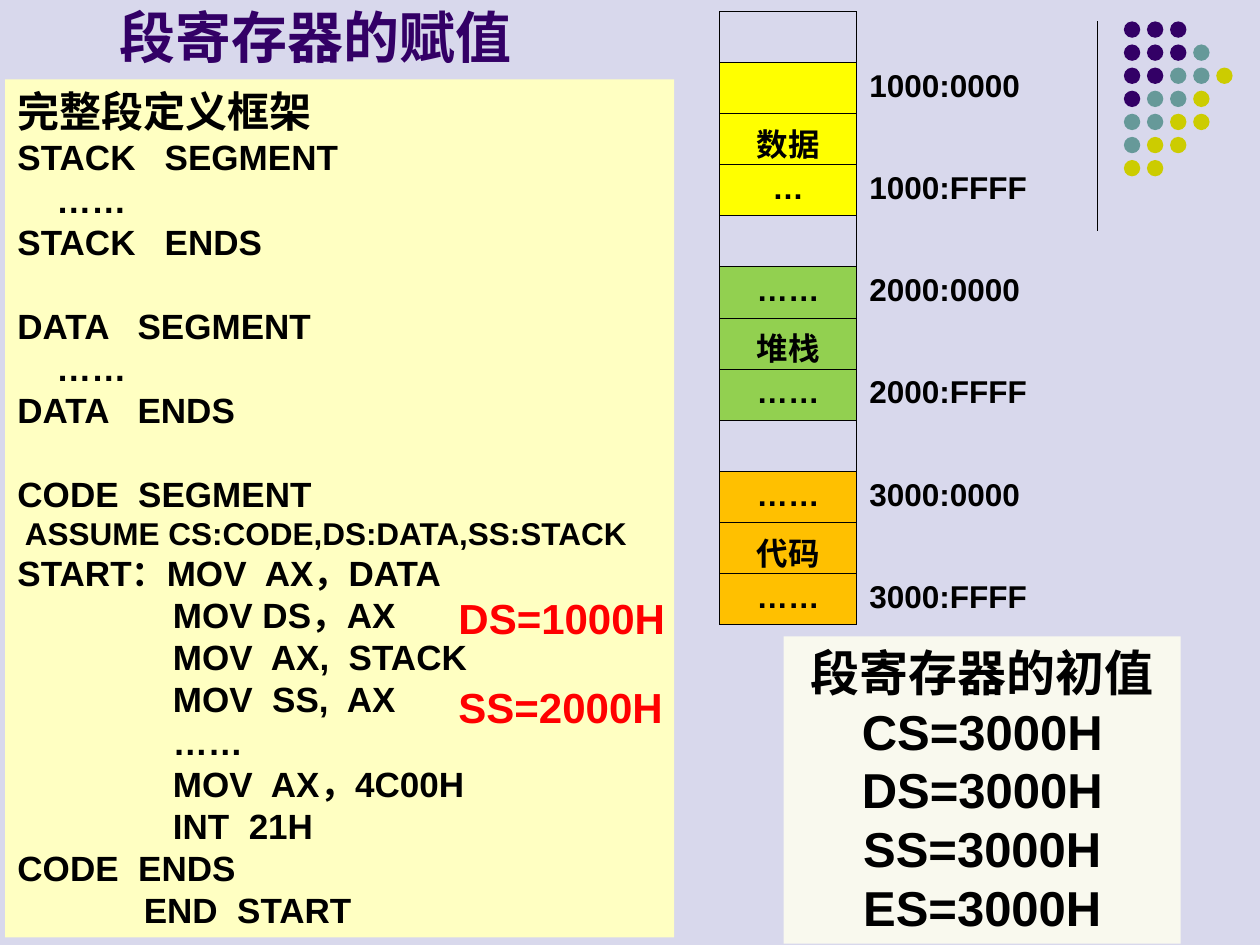
from lxml.etree import SubElement
from pptx import Presentation
from pptx.dml.color import RGBColor
from pptx.enum.shapes import MSO_CONNECTOR, MSO_SHAPE
from pptx.enum.text import MSO_ANCHOR, PP_ALIGN
from pptx.oxml.ns import qn
from pptx.util import Inches, Pt

COLORS = {
    "background": "D8D8EC", "text": "000000", "title": "330066", "result": "FF0000",
    "code_panel": "FFFFC2", "initial_panel": "F9F9EE",
    "data": "FFFF00", "stack": "92D050", "code": "FFC000",
    "P": "330066", "T": "669999", "Y": "CCCC00",
}
FONT = "Arial"
DOT_ROWS = ["PPP", "PPPT", "PPTTY", "PTTY", "TTYY", "TYY", "YY"]

HEADING = "完整段定义框架"
ASSUME = " ASSUME CS:CODE,DS:DATA,SS:STACK"
CODE_BLOCKS = [
    [HEADING, "STACK   SEGMENT", "    ……", "STACK   ENDS"],
    ["DATA   SEGMENT", "    ……", "DATA   ENDS"],
    [
        "CODE  SEGMENT",
        ASSUME,
        "START：MOV  AX，DATA",
        "                MOV DS，AX",
        "                MOV  AX,  STACK",
        "                MOV  SS,  AX",
        "                ……",
        "                MOV  AX，4C00H",
        "                INT  21H",
        "CODE  ENDS",
        "             END  START",
    ],
]
CODE_SIZES = {HEADING: 24, ASSUME: 18}

# Segment, cell text, address
MEMORY = [
    (None, "", ""),
    ("data", "", "1000:0000"),
    ("data", "数据", ""),
    ("data", "…", "1000:FFFF"),
    (None, "", ""),
    ("stack", "……", "2000:0000"),
    ("stack", "堆栈", ""),
    ("stack", "……", "2000:FFFF"),
    (None, "", ""),
    ("code", "……", "3000:0000"),
    ("code", "代码", ""),
    ("code", "……", "3000:FFFF"),
]
INITIAL_VALUES = ["段寄存器的初值", "CS=3000H", "DS=3000H", "SS=3000H", "ES=3000H"]


def rgb(name):
    return RGBColor.from_string(COLORS[name])


def style(paragraph, size, color="text"):
    font = paragraph.font
    font.name, font.size, font.bold = FONT, Pt(size), True
    font.color.rgb = rgb(color)


def write_lines(frame, lines, size, color="text", sizes={}, align=PP_ALIGN.LEFT):
    """Fill a frame with one paragraph per line, at a line pitch of 1.2 times the size."""
    frame.word_wrap = True
    frame.vertical_anchor = MSO_ANCHOR.TOP
    for index, line in enumerate(lines):
        paragraph = frame.paragraphs[0] if index == 0 else frame.add_paragraph()
        paragraph.text = line
        paragraph.alignment = align
        line_size = sizes.get(line, size)
        paragraph.line_spacing = Pt(1.2 * line_size)
        style(paragraph, line_size, color)
    return frame.paragraphs


def add_filled(slide, kind, left, top, width, height, color):
    shape = slide.shapes.add_shape(
        kind, Inches(left), Inches(top), Inches(width), Inches(height))
    shape.shadow.inherit = False
    shape.fill.solid()
    shape.fill.fore_color.rgb = rgb(color)
    shape.line.fill.background()
    return shape


def add_textbox(slide, left, top, width, height):
    return slide.shapes.add_textbox(
        Inches(left), Inches(top), Inches(width), Inches(height)).text_frame


def add_ornament(slide):
    """Draw the vertical rule and the grid of dots in the corner."""
    rule = slide.shapes.add_connector(
        MSO_CONNECTOR.STRAIGHT, Inches(8.71), Inches(0.17), Inches(8.71), Inches(1.83))
    rule.line.color.rgb = rgb("text")
    rule.line.width = Pt(0.75)
    SubElement(rule._element.spPr, qn("a:effectLst"))
    pitch = 1.1 / 6
    for row, dots in enumerate(DOT_ROWS):
        for column, color in enumerate(dots):
            add_filled(slide, MSO_SHAPE.OVAL, 8.92 + column * pitch,
                       0.17 + row * pitch, 0.13, 0.13, color)


def add_title(slide):
    frame = add_textbox(slide, 0.85, 0.01, 3.52, 0.59)
    frame.word_wrap = True
    frame.vertical_anchor = MSO_ANCHOR.BOTTOM
    title = frame.paragraphs[0]
    title.text = "段寄存器的赋值"
    style(title, 32, "title")


def add_code(slide):
    panel = add_filled(slide, MSO_SHAPE.RECTANGLE, 0.04, 0.63, 5.31, 6.81, "code_panel")
    lines = [line for block in CODE_BLOCKS for line in block]
    paragraphs = write_lines(panel.text_frame, lines, 20, sizes=CODE_SIZES)
    block_start = 0
    for block in CODE_BLOCKS[:-1]:
        block_start += len(block)
        paragraphs[block_start].space_before = Pt(24)


def set_borders(cell, visible_sides):
    properties = cell._tc.get_or_add_tcPr()
    for side in "LRTB":
        border = SubElement(properties, qn(f"a:ln{side}"), w=str(Pt(0.45)))
        if side in visible_sides:
            fill = SubElement(border, qn("a:solidFill"))
            SubElement(fill, qn("a:srgbClr"), val=COLORS["text"])
        else:
            SubElement(border, qn("a:noFill"))


def fill_cell(cell, text, segment, align, visible_sides):
    set_borders(cell, visible_sides)
    if segment:
        cell.fill.solid()
        cell.fill.fore_color.rgb = rgb(segment)
    else:
        cell.fill.background()
    paragraph = cell.text_frame.paragraphs[0]
    paragraph.text = text
    paragraph.alignment = align
    style(paragraph, 18)


def add_memory_map(slide):
    memory = slide.shapes.add_table(
        len(MEMORY), 2, Inches(5.71), Inches(0.09), Inches(3.89), Inches(4.87)).table
    memory.first_row = memory.horz_banding = False
    memory.columns[0].width = Inches(1.09)
    memory.columns[1].width = Inches(2.8)
    for row, (segment, content, address) in enumerate(MEMORY):
        fill_cell(memory.cell(row, 0), content, segment, PP_ALIGN.CENTER, "LRTB")
        fill_cell(memory.cell(row, 1), address, None, PP_ALIGN.LEFT, "L")


def add_initial_values(slide):
    panel = add_filled(slide, MSO_SHAPE.RECTANGLE, 6.22, 5.05, 3.15, 2.44, "initial_panel")
    paragraphs = write_lines(
        panel.text_frame, INITIAL_VALUES, 28, align=PP_ALIGN.CENTER)
    # The last line sits a little left of centre
    paragraphs[-1]._p.get_or_add_pPr().set("indent", str(-Inches(0.32)))


def main():
    presentation = Presentation()
    presentation.slide_width, presentation.slide_height = Inches(10), Inches(7.5)
    slide = presentation.slides.add_slide(presentation.slide_layouts[6])
    slide.background.fill.solid()
    slide.background.fill.fore_color.rgb = rgb("background")

    add_ornament(slide)
    add_code(slide)
    add_title(slide)
    add_memory_map(slide)
    add_initial_values(slide)
    for result, top in (("DS=1000H", 4.65), ("SS=2000H", 5.36)):
        write_lines(add_textbox(slide, 3.54, top, 1.85, 0.5), [result], 24, "result")
    presentation.save("out.pptx")


if __name__ == "__main__":
    main()
